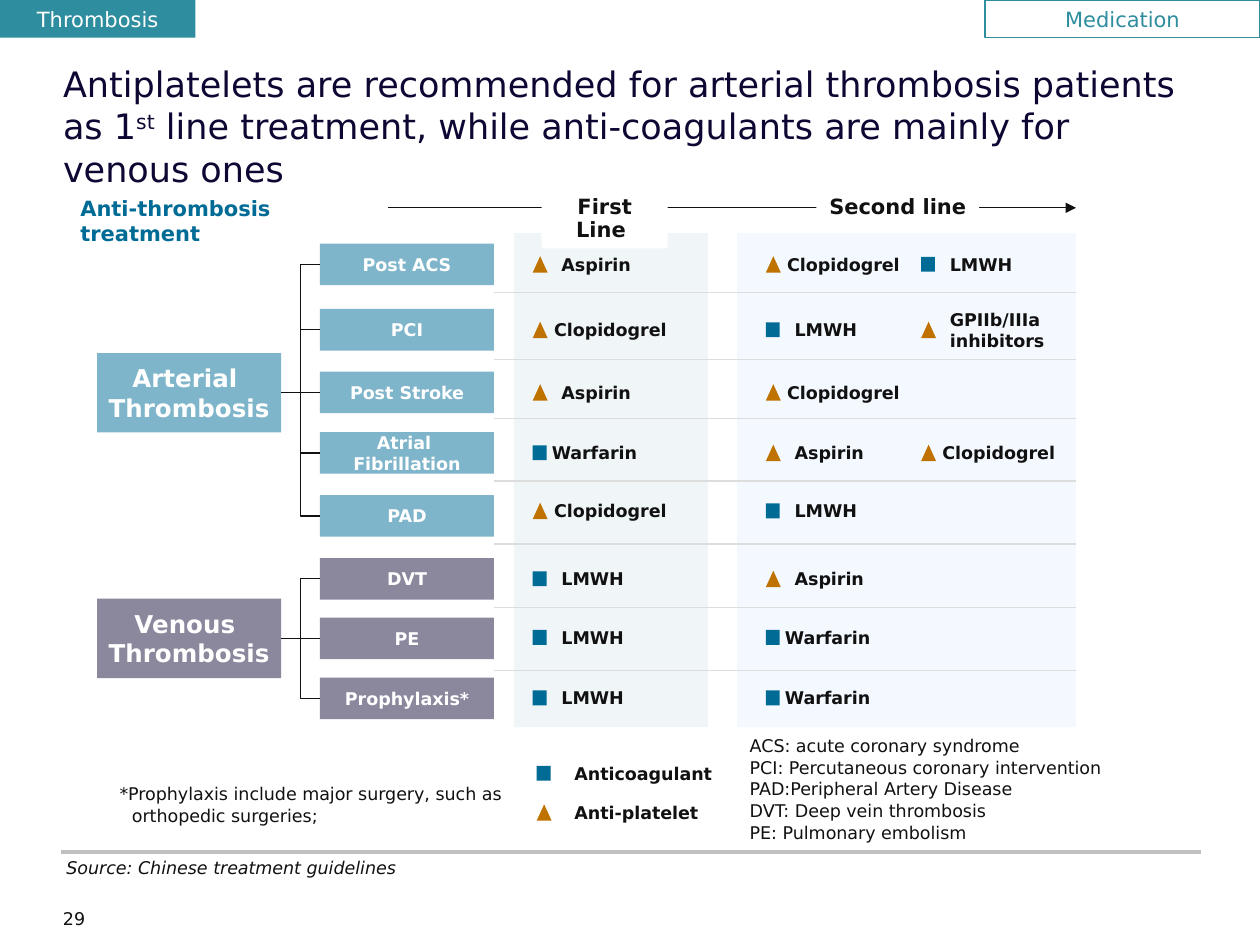
"""Build a slide of first and second line treatments for thrombosis."""
from dataclasses import dataclass

from lxml.etree import SubElement
from pptx import Presentation
from pptx.dml.color import RGBColor
from pptx.enum.shapes import MSO_CONNECTOR as Connector, MSO_SHAPE as Preset
from pptx.enum.text import MSO_ANCHOR as Anchor, MSO_AUTO_SIZE as AutoSize, PP_ALIGN as Align
from pptx.oxml.ns import qn
from pptx.util import Cm, Pt


@dataclass(frozen=True)
class Theme:
    font: str = "DejaVu Sans"
    ink: str = "111111"
    navy: str = "0E0733"
    blue: str = "006C96"
    sky: str = "99CCFF"
    orange: str = "C07200"
    teal: str = "2E8D9E"
    white: str = "FFFFFF"
    divider: str = "DDDDDD"
    footer: str = "C0C0C0"
    title: int = 20
    group: int = 14
    heading: int = 12
    body: int = 10


THEME = Theme()

TITLE = [
    ("Antiplatelets are recommended for arterial thrombosis patients as 1", False),
    ("st", True),
    (" line treatment, while anti-coagulants are mainly for venous ones", False),
]
ABBREVIATIONS = [
    "ACS: acute coronary syndrome",
    "PCI: Percutaneous coronary intervention",
    "PAD:Peripheral Artery Disease",
    "DVT: Deep vein thrombosis",
    "PE: Pulmonary embolism",
]
FOOTNOTE = "*Prophylaxis include major surgery, such as orthopedic surgeries;"
SOURCE = "Source: Chinese treatment guidelines"

ANTICOAGULANT, ANTIPLATELET = "anticoagulant", "antiplatelet"
MARKERS = {
    ANTICOAGULANT: (Preset.RECTANGLE, THEME.blue, 0.28, 0.3),
    ANTIPLATELET: (Preset.ISOSCELES_TRIANGLE, THEME.orange, 0.3, 0.33),
}
DRUGS = {
    "Aspirin": (ANTIPLATELET, 2.34, Align.LEFT),
    "Clopidogrel ": (ANTIPLATELET, 2.34, Align.CENTER),
    "GPIIb/IIIa inhibitors": (ANTIPLATELET, 3.12, Align.LEFT),
    "LMWH": (ANTICOAGULANT, 1.65, Align.LEFT),
    "Warfarin ": (ANTICOAGULANT, 1.7, Align.CENTER),
}
GROUPS = [
    ("Arterial \nThrombosis", 7.92, THEME.blue, 50, [
        ("Post ACS", 5.33, 5.33, ["Aspirin", "Clopidogrel ", "LMWH"]),
        ("PCI", 6.65, 6.65, ["Clopidogrel ", "LMWH", "GPIIb/IIIa inhibitors"]),
        ("Post Stroke", 7.91, 7.91, ["Aspirin", "Clopidogrel "]),
        ("Atrial \nFibrillation", 9.13, 9.13, ["Warfarin ", "Aspirin", "Clopidogrel "]),
        ("PAD", 10.4, 10.3, ["Clopidogrel ", "LMWH"]),
    ]),
    ("Venous \nThrombosis", 12.87, THEME.navy, 48, [
        ("DVT", 11.67, 11.67, ["LMWH", "Aspirin"]),
        ("PE", 12.87, 12.85, ["LMWH", "Warfarin "]),
        ("Prophylaxis*", 14.08, 14.07, ["LMWH", "Warfarin "]),
    ]),
]
LEGEND = [("Anticoagulant", ANTICOAGULANT, 15.59), ("Anti-platelet", ANTIPLATELET, 16.38)]
PANELS = [(10.36, 3.91, THEME.blue, 6), (14.86, 6.83, THEME.sky, 10)]
HEADERS = [("First Line ", 10.92, 2.54, 1.17, True), ("Second line", 16.46, 3.28, 0.71, False)]
DRUG_COLUMNS = [10.74, 15.44, 18.57]
DIVIDERS = [5.89, 7.24] + [8.43 + 1.27 * step for step in range(5)]
CHART_RIGHT = 21.69


def place(shape, left, top, width, height):
    shape.left, shape.top, shape.width, shape.height = map(Cm, (left, top, width, height))


def format_text(shape, size, color=THEME.ink, bold=False, italic=False,
                align=Align.LEFT, anchor=Anchor.MIDDLE, wrap=False, insets=None):
    frame = shape.text_frame
    frame.auto_size = AutoSize.NONE
    frame.word_wrap = wrap
    frame.vertical_anchor = anchor
    if insets:
        (frame.margin_left, frame.margin_top,
         frame.margin_right, frame.margin_bottom) = map(Cm, insets)
    for paragraph in frame.paragraphs:
        paragraph.alignment = align
        font = paragraph.font
        font.name, font.size, font.bold, font.italic = THEME.font, Pt(size), bold, italic
        font.color.rgb = RGBColor.from_string(color)


def add_label(slide, text, box, size, **style):
    shape = slide.shapes.add_textbox(*map(Cm, box))
    shape.text_frame.text = text
    format_text(shape, size, **style)
    return shape


def add_block(slide, box, fill=None, opacity=100, preset=Preset.RECTANGLE, text="", outline=None, **style):
    shape = slide.shapes.add_shape(preset, *map(Cm, box))
    shape.shadow.inherit = False
    if fill:
        shape.fill.solid()
        shape.fill.fore_color.rgb = RGBColor.from_string(fill)
        if opacity < 100:
            color = shape.fill._xPr.find(qn("a:solidFill"))[0]
            SubElement(color, qn("a:alpha"), val=str(opacity * 1000))
    else:
        shape.fill.background()
    if outline:
        shape.line.color.rgb = RGBColor.from_string(outline)
        shape.line.width = Pt(0.75)
    else:
        shape.line.fill.background()
    if text:
        shape.text_frame.text = text
        format_text(shape, align=Align.CENTER, **style)
    return shape


def add_line(slide, left, top, right, color, width=0.75, kind=Connector.STRAIGHT):
    line = slide.shapes.add_connector(kind, Cm(left), Cm(top), Cm(right), Cm(top))
    line.line.color.rgb = RGBColor.from_string(color)
    line.line.width = Pt(width)
    SubElement(line._element.spPr, qn("a:effectLst"))
    return line


def add_marked_label(slide, text, kind, left, center, width, gap, **style):
    preset, color, marker_width, marker_height = MARKERS[kind]
    add_block(slide, (left, center - marker_height / 2, marker_width, marker_height), color, preset=preset)
    height = 1.09 if style.get("wrap") else 0.66
    add_label(slide, text, (left + gap, center - height / 2, width, height), THEME.body, bold=True, **style)


def fill_placeholders(slide):
    title, abbreviations = slide.placeholders
    place(title, 1.27, 1.27, 22.86, 2.54)
    for text, raised in TITLE:
        run = title.text_frame.paragraphs[0].add_run()
        run.text = text
        if raised:
            run.font._element.set("baseline", "30000")
    format_text(title, THEME.title, THEME.navy, wrap=True, insets=(0, 0, 0, 0))
    place(abbreviations, 14.86, 14.69, 7.82, 2.4)
    abbreviations.text_frame.text = "\n".join(ABBREVIATIONS)
    format_text(abbreviations, THEME.body, anchor=Anchor.TOP)
    for paragraph in abbreviations.text_frame.paragraphs:
        paragraph.space_before = Pt(0.4)
        properties = paragraph._p.get_or_add_pPr()
        properties.set("marL", "0")
        properties.set("indent", "0")
        properties.insert_element_before(properties.makeelement(qn("a:buNone")), "a:tabLst", "a:defRPr")


def add_treatments(slide):
    for left, width, color, opacity in PANELS:
        add_block(slide, (left, 4.7, width, 9.96), color, opacity)
    for top in DIVIDERS:
        add_line(slide, 9.96, top, CHART_RIGHT, THEME.divider)
    for name, center, color, opacity, conditions in GROUPS:
        group = add_block(slide, (1.96, center - 0.8, 3.71, 1.6), color, opacity,
                          text=name, size=THEME.group, color=THEME.white, bold=True)
        for condition, row, drug_row, drugs in conditions:
            box = add_block(slide, (6.45, row - 0.42, 3.51, 0.84), color, opacity,
                            text=condition, size=THEME.body, color=THEME.white, bold=True)
            branch = add_line(slide, 5.67, center, 6.45, THEME.ink, kind=Connector.ELBOW)
            branch.begin_connect(group, 3)
            branch.end_connect(box, 1)
            for left, drug in zip(DRUG_COLUMNS, drugs):
                kind, width, align = DRUGS[drug]
                add_marked_label(slide, drug, kind, left, drug_row, width, 0.58, align=align,
                                 wrap=width > 3, insets=(0, 0.13, 0.25, 0.13))
    for text, kind, center in LEGEND:
        add_marked_label(slide, text, kind, 10.82, center, 3.28, 0.51)


def add_headings(slide):
    add_label(slide, "Anti-thrombosis treatment", (1.37, 3.81, 6.65, 1.27), THEME.heading,
              color=THEME.blue, bold=True, anchor=Anchor.TOP, wrap=True)
    axis = add_line(slide, 7.82, 4.19, CHART_RIGHT, THEME.ink)
    SubElement(axis.line._get_or_add_ln(), qn("a:tailEnd"), type="triangle")
    for text, left, width, height, wrap in HEADERS:
        header = add_block(slide, (left, 3.84, width, height), THEME.white, text=text,
                           size=THEME.heading, bold=True, wrap=wrap)
        header.text_frame.paragraphs[0].line_spacing = 0.9
    add_block(slide, (19.86, 0, 5.54, 0.76), outline=THEME.teal, text="Medication",
              size=THEME.heading, color=THEME.teal)
    add_block(slide, (0, 0, 3.94, 0.76), THEME.teal, text="Thrombosis",
              size=THEME.heading, color=THEME.white)


def add_footer(slide):
    add_line(slide, 1.22, 17.17, 24.21, THEME.footer, 2)
    footnote = add_label(slide, FOOTNOTE, (2.16, 15.67, 8.59, 1.09), THEME.body, anchor=Anchor.TOP, wrap=True)
    properties = footnote.text_frame.paragraphs[0]._p.get_or_add_pPr()
    properties.set("marL", str(Cm(0.25)))
    properties.set("indent", str(-Cm(0.25)))
    add_label(slide, SOURCE, (1.09, 17.15, 7.44, 0.69), THEME.body, italic=True)
    add_label(slide, "29", (1.27, 18.26, 1.22, 0.51), THEME.body, insets=(0, 0, 0, 0))


def main():
    presentation = Presentation()
    presentation.slide_width, presentation.slide_height = Cm(25.4), Cm(19.05)
    slide = presentation.slides.add_slide(presentation.slide_layouts[1])
    fill_placeholders(slide)
    add_treatments(slide)
    add_headings(slide)
    add_footer(slide)
    presentation.save("out.pptx")


if __name__ == "__main__":
    main()
